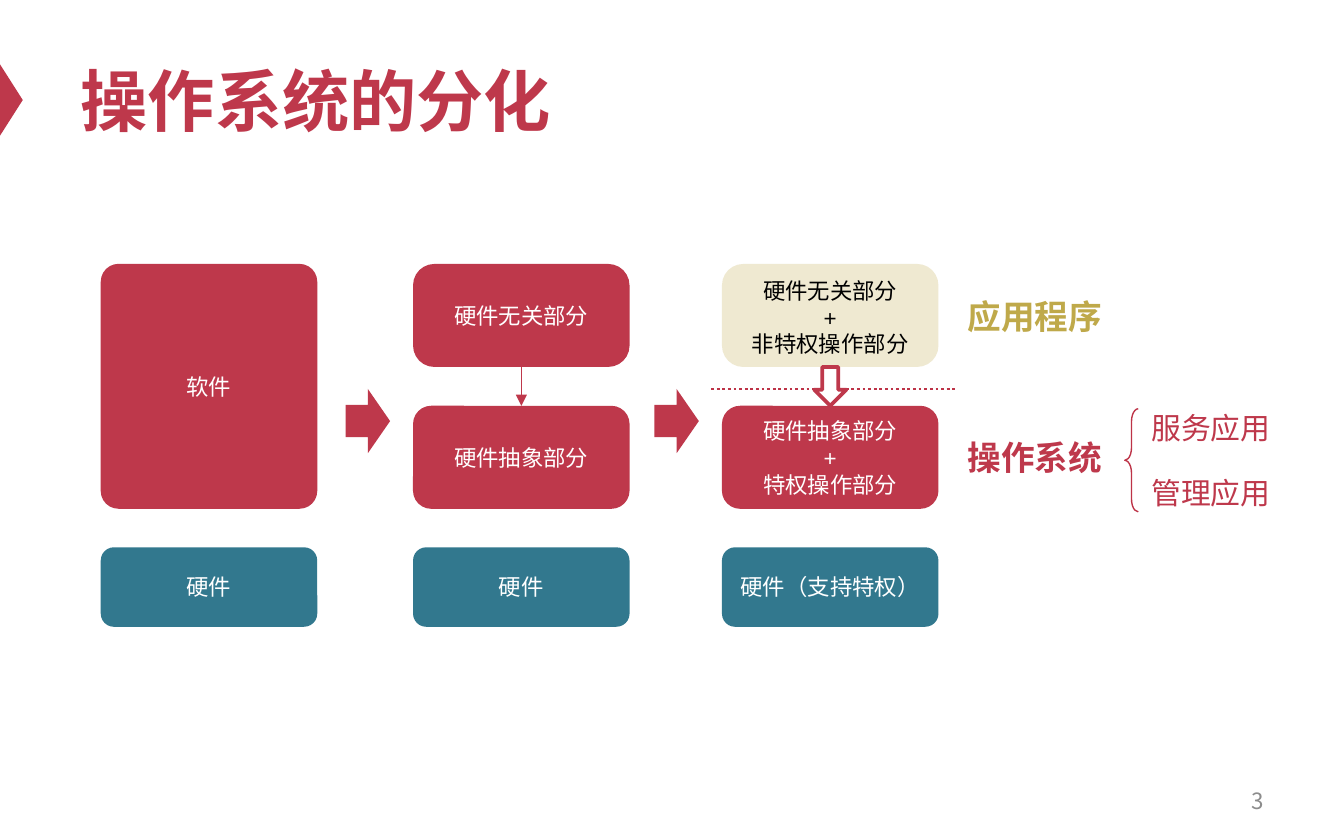
"""Build a slide on how the operating system split from applications."""
from pptx import Presentation
from pptx.dml.color import RGBColor
from pptx.enum.dml import MSO_LINE
from pptx.enum.shapes import MSO_CONNECTOR, MSO_SHAPE
from pptx.enum.text import MSO_ANCHOR, PP_ALIGN
from pptx.oxml.ns import qn
from pptx.util import Pt
from lxml.etree import SubElement

RED, TEAL, CREAM, GOLD = "BE384B", "32788E", "EFE9D1", "BFA94A"
WHITE, BLACK, GREY, ROSE = "FFFFFF", "000000", "8C8C8C", "BD3347"
hue = RGBColor.from_string


def write(frame, text, size, color, bold=False, align=PP_ALIGN.LEFT,
          anchor=MSO_ANCHOR.MIDDLE, wrap=True, face="Arial"):
    """Fill a text frame, one paragraph per line."""
    frame.text = text
    frame.word_wrap = wrap
    frame.vertical_anchor = anchor
    style = {"size": Pt(size), "bold": bold, "name": face}
    for para in frame.paragraphs:
        para.alignment = align
        for run in para.runs:
            for key, value in style.items():
                setattr(run.font, key, value)
            run.font.color.rgb = hue(color)
            east = SubElement(run.font._element, qn("a:ea"))
            east.set("typeface", "Noto Sans CJK SC")


def draw(kind, box, fill=None, line=None, width=1, adjust=()):
    """Add a flat preset shape."""
    shape = slide.shapes.add_shape(kind, *map(Pt, box))
    shape.shadow.inherit = False
    for index, value in enumerate(adjust):
        shape.adjustments[index] = value
    if fill:
        shape.fill.solid()
        shape.fill.fore_color.rgb = hue(fill)
    else:
        shape.fill.background()
    if line:
        shape.line.color.rgb = hue(line)
        shape.line.width = Pt(width)
    else:
        shape.line.fill.background()
    return shape


deck = Presentation()
deck.slide_width, deck.slide_height = Pt(720), Pt(450)
slide = deck.slides.add_slide(deck.slide_layouts[5])

mark = draw(MSO_SHAPE.ISOSCELES_TRIANGLE, (-13, 47.5, 38.2, 12.2), RED)
mark.rotation = 90

title = slide.shapes.title
place = {"left": 36, "top": 18, "width": 648, "height": 70.6}
for key, value in place.items():
    setattr(title, key, Pt(value))
write(title.text_frame, "操作系统的分化", 36, RED, bold=True)

cols = (54, 221.3, 386.8)
wide = 116
high, low, base = (141.4, 55.2), (217.4, 55.2), (293.2, 42.6)
tall = (high[0], low[0] + low[1] - high[0])
cells = [
    (0, tall, 0.082, RED, WHITE, "软件"),
    (0, base, 0.166, TEAL, WHITE, "硬件"),
    (1, high, 0.207, RED, WHITE, "硬件无关部分"),
    (1, base, 0.166, TEAL, WHITE, "硬件"),
    (1, low, 0.176, RED, WHITE, "硬件抽象部分"),
    (2, high, 0.207, CREAM, BLACK, "硬件无关部分\n+\n非特权操作部分"),
    (2, base, 0.166, TEAL, WHITE, "硬件（支持特权）"),
    (2, low, 0.176, RED, WHITE, "硬件抽象部分\n+\n特权操作部分"),
]
blocks = {}
for col, row, curve, fill, ink, text in cells:
    block = draw(MSO_SHAPE.ROUNDED_RECTANGLE, (cols[col], row[0], wide, row[1]),
                 fill, adjust=[curve])
    anchor = MSO_ANCHOR.TOP if fill == CREAM else MSO_ANCHOR.MIDDLE
    write(block.text_frame, text, 12, ink, align=PP_ALIGN.CENTER, anchor=anchor)
    blocks[col, row] = block

mid = cols[1] + wide / 2
foot = high[0] + high[1]
split = 208.4
call = slide.shapes.add_connector(
    MSO_CONNECTOR.STRAIGHT, Pt(mid), Pt(foot), Pt(mid), Pt(low[0]))
call.begin_connect(blocks[1, high], 2)
call.end_connect(blocks[1, low], 0)
border = slide.shapes.add_connector(
    MSO_CONNECTOR.STRAIGHT, Pt(381), Pt(split), Pt(511.5), Pt(split))
for link, color, width in ((call, RED, 0.75), (border, ROSE, 1.5)):
    link.line.color.rgb = hue(color)
    link.line.width = Pt(width)
    SubElement(link._element.spPr, qn("a:effectLst"))
border.line.dash_style = MSO_LINE.ROUND_DOT
SubElement(call.line._get_or_add_ln(), qn("a:tailEnd")).set("type", "triangle")

draw(MSO_SHAPE.DOWN_ARROW, (cols[2] + wide / 2 - 8.6, foot, 17.2, low[0] - foot),
     WHITE, RED, 2)

labels = [
    (511.2, 230.4, 87.1, 29.1, "操作系统", 18, RED, True),
    (511.2, 154.8, 87.1, 29.1, "应用程序", 18, GOLD, True),
    (609.8, 216, 79.2, 26.6, "服务应用", 16, RED, False),
    (609.8, 250.6, 79.2, 26.6, "管理应用", 16, RED, False),
]
for *box, text, size, color, bold in labels:
    label = slide.shapes.add_textbox(*map(Pt, box))
    write(label.text_frame, text, size, color, bold,
          anchor=MSO_ANCHOR.TOP, wrap=False)

draw(MSO_SHAPE.LEFT_BRACE, (602.6, 219, 7.2, 55.2), None, ROSE, 0.75, [0.943, 0.5])
for left in (185.2, 350.6):
    draw(MSO_SHAPE.RIGHT_ARROW, (left, split, 23.8, 34.4), RED)

page = slide.shapes.add_textbox(Pt(516.2), Pt(416.9), Pt(167.8), Pt(23.8))
write(page.text_frame, "3", 12, GREY, align=PP_ALIGN.RIGHT, face="Noto Sans CJK SC")

deck.save("out.pptx")
